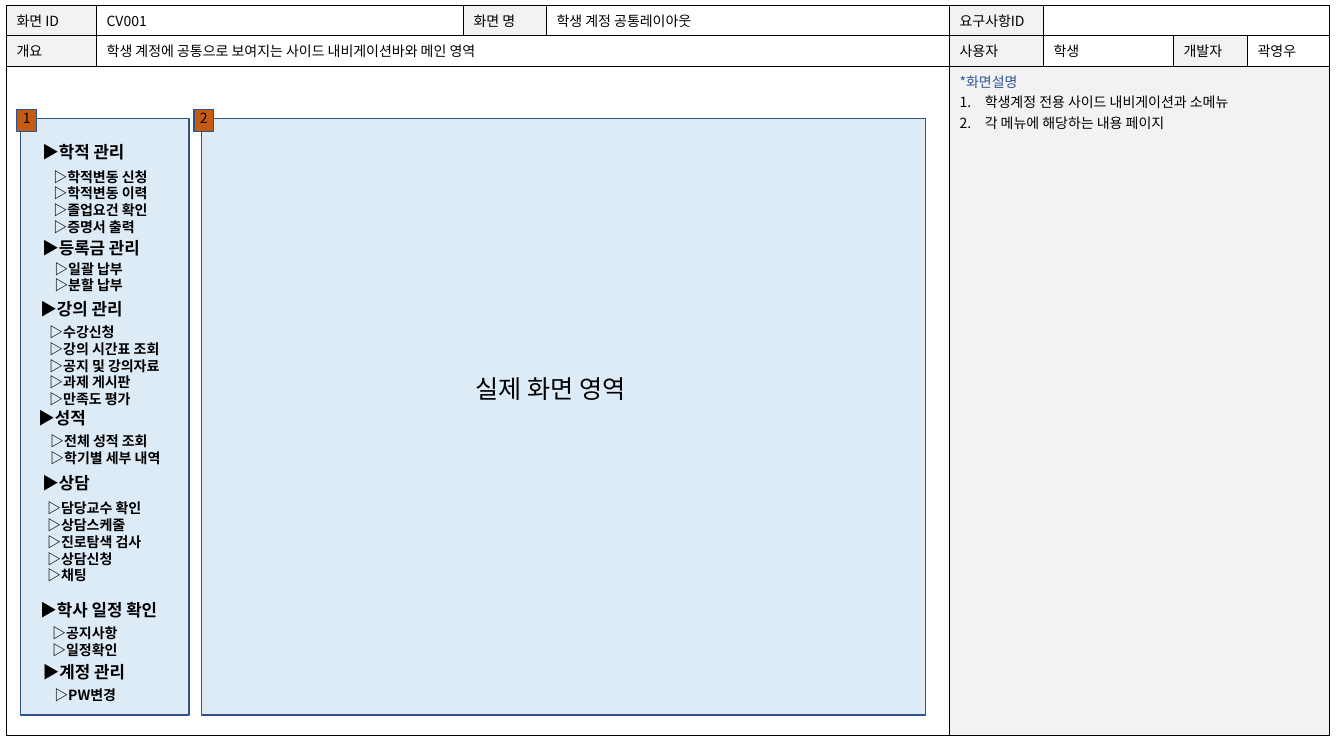
from dataclasses import dataclass

from lxml.etree import SubElement
from pptx import Presentation
from pptx.dml.color import RGBColor
from pptx.enum.shapes import MSO_SHAPE as Preset
from pptx.enum.text import MSO_ANCHOR as Anchor, MSO_AUTO_SIZE as AutoSize, PP_ALIGN as Align
from pptx.oxml.ns import qn
from pptx.util import Pt


@dataclass(frozen=True)
class Theme:
    font: str = "Noto Sans CJK KR"
    ink: str = "000000"
    accent: str = "2F5597"
    paper: str = "FFFFFF"
    label: str = "F2F2F2"
    area: str = "DDEBF7"
    area_line: str = "31538F"
    marker: str = "C55A11"
    marker_line: str = "2F528F"
    body: int = 10
    heading: int = 12
    main: int = 18
    leading: float = 1.2
    hairline: float = 0.75


# Header cells: (row, column, last column, text, is a label)
HEADER = [
    (0, 0, 0, "화면 ID", True),
    (0, 1, 1, "CV001", False),
    (0, 2, 2, "화면 명", True),
    (0, 3, 3, "학생 계정 공통레이아웃", False),
    (0, 4, 4, "요구사항ID", True),
    (0, 5, 7, "", False),
    (1, 0, 0, "개요", True),
    (1, 1, 3, "학생 계정에 공통으로 보여지는 사이드 내비게이션바와 메인 영역", False),
    (1, 4, 4, "사용자", True),
    (1, 5, 5, "학생", False),
    (1, 6, 6, "개발자", True),
    (1, 7, 7, "곽영우", False),
    (2, 0, 3, "", False),
    (2, 4, 7, "", True),
]
NOTES_TITLE = "*화면설명"
NOTES = ["학생계정 전용 사이드 내비게이션과 소메뉴", "각 메뉴에 해당하는 내용 페이지"]

# Menu groups: heading, its left and top, then items, their left and top
MENU = [
    ("학적 관리", 23, 97.9,
     ["학적변동 신청", "학적변동 이력", "졸업요건 확인", "증명서 출력"], 31, 116.6),
    ("등록금 관리", 23, 166.3, ["일괄 납부", "분할 납부"], 31.7, 182.2),
    ("강의 관리", 21.6, 210.2,
     ["수강신청", "강의 시간표 조회", "공지 및 강의자료", "과제 게시판", "만족도 평가"], 28.1, 227.5),
    ("성적", 20.2, 288, ["전체 성적 조회", "학기별 세부 내역"], 28.8, 305.3),
    ("상담", 23, 334.1,
     ["담당교수 확인", "상담스케줄", "진로탐색 검사", "상담신청", "채팅"], 26.6, 353.5),
    ("학사 일정 확인", 21.6, 424.8, ["공지사항", "일정확인"], 30.2, 442.8),
    ("계정 관리", 23.4, 469.4, ["PW변경"], 31.7, 486.7),
]


class ScreenSheet:
    def __init__(self, slide, theme):
        self.slide, self.theme = slide, theme

    def add_words(self, paragraph, text, color=None, **formats):
        run = paragraph.add_run()
        run.text = text
        formats = {"name": self.theme.font, "size": Pt(self.theme.body)} | formats
        for key, value in formats.items():
            setattr(run.font, key, value)
        run.font.color.rgb = RGBColor.from_string(color or self.theme.ink)
        SubElement(run._r.get_or_add_rPr(), qn("a:ea"), typeface=self.theme.font)

    def fill_frame(self, frame, lines, size, inset_x, inset_y, align, bold):
        layout = {"word_wrap": True, "vertical_anchor": Anchor.TOP,
                  "margin_left": Pt(inset_x), "margin_right": Pt(inset_x),
                  "margin_top": Pt(inset_y), "margin_bottom": Pt(inset_y)}
        for key, value in layout.items():
            setattr(frame, key, value)
        for index, line in enumerate(lines):
            paragraph = frame.add_paragraph() if index else frame.paragraphs[0]
            paragraph.alignment = align
            paragraph.line_spacing = Pt(size * self.theme.leading)
            self.add_words(paragraph, line, size=Pt(size), bold=bold)

    def text(self, lines, left, top, width, size, inset_y=3.6, align=Align.LEFT, bold=True):
        height = len(lines) * size * self.theme.leading + 2 * inset_y
        box = self.slide.shapes.add_textbox(Pt(left), Pt(top), Pt(width), Pt(height))
        self.fill_frame(box.text_frame, lines, size, 7.2, inset_y, align, bold)
        box.text_frame.auto_size = AutoSize.SHAPE_TO_FIT_TEXT

    def rectangle(self, left, top, width, height, fill, line, caption=None):
        panel = self.slide.shapes.add_shape(
            Preset.RECTANGLE, Pt(left), Pt(top), Pt(width), Pt(height))
        panel.shadow.inherit = False
        panel.fill.solid()
        panel.fill.fore_color.rgb = RGBColor.from_string(fill)
        panel.line.color.rgb = RGBColor.from_string(line)
        panel.line.width = Pt(1)
        if caption:
            self.fill_frame(panel.text_frame, [caption], self.theme.body, 0, 0,
                            Align.CENTER, False)

    def borders(self, cell, **widths):
        for side in "LRTB":
            width = Pt(widths.get(side, self.theme.hairline))
            edge = SubElement(cell._tc.get_or_add_tcPr(), qn(f"a:ln{side}"), w=str(width))
            SubElement(SubElement(edge, qn("a:solidFill")), qn("a:srgbClr"), val=self.theme.ink)

    def table(self, left, top, widths, heights, entries):
        grid = self.slide.shapes.add_table(
            len(heights), len(widths), Pt(left), Pt(top), Pt(sum(widths)), Pt(sum(heights))).table
        grid.first_row = grid.horz_banding = False
        for column, width in zip(grid.columns, widths):
            column.width = Pt(width)
        for row, height in zip(grid.rows, heights):
            row.height = Pt(height)
        for row, first, last, text, is_label in entries:
            heavy = {}
            if row == 2:
                heavy = {"L": 1, "B": 1} if is_label else {"R": 1}
            for column in range(first, last + 1):
                cell = grid.cell(row, column)
                self.borders(cell, **heavy)
                cell.fill.solid()
                cell.fill.fore_color.rgb = RGBColor.from_string(
                    self.theme.label if is_label else self.theme.paper)
                paragraph = cell.text_frame.paragraphs[0]
                if text and column == first:
                    self.add_words(paragraph, text)
                elif (row, column) != (2, 4):
                    SubElement(paragraph._p, qn("a:endParaRPr"), sz=str(self.theme.body * 100))
            if last > first:
                grid.cell(row, first).merge(grid.cell(row, last))
        return grid

    def numbered(self, frame, title, items):
        self.add_words(frame.paragraphs[0], title, self.theme.accent)
        for item in items:
            paragraph = frame.add_paragraph()
            properties = paragraph._p.get_or_add_pPr()
            properties.set("marL", str(Pt(18)))
            properties.set("indent", str(Pt(-18)))
            SubElement(SubElement(properties, qn("a:buClr")), qn("a:srgbClr"), val=self.theme.ink)
            SubElement(properties, qn("a:buAutoNum"), type="arabicPeriod")
            self.add_words(paragraph, item)


def main():
    deck = Presentation()
    deck.slide_width, deck.slide_height = Pt(960), Pt(540)
    theme = Theme()
    sheet = ScreenSheet(deck.slides.add_slide(deck.slide_layouts[6]), theme)

    # Specification table with the screen notes
    grid = sheet.table(4.7, 3.8, [64.3, 262.1, 59.3, 287.9, 67.1, 92.9, 52.9, 58.6],
                       [21.8, 22, 478], HEADER)
    sheet.numbered(grid.cell(2, 4).text_frame, NOTES_TITLE, NOTES)

    # Main area and side navigation
    for left, width in ((144, 517), (14.8, 120.2)):
        sheet.rectangle(left, 84.6, width, 426.2, theme.area, theme.area_line)
    sheet.text(["실제 화면 영역"], 325.4, 259.2, 136.1, theme.main, 7.2, Align.CENTER, False)

    # Navigation menu
    for heading, left, top, items, items_left, items_top in MENU:
        sheet.text([f"▶{heading}"], left, top, 136.1, theme.heading)
        sheet.text([f"▷{item}" for item in items], items_left, items_top, 106, theme.body)

    # Number markers
    for number, left in (("1", 12), ("2", 138.5)):
        sheet.rectangle(left, 78.4, 14.2, 15.6, theme.marker, theme.marker_line, number)

    deck.save("out.pptx")


if __name__ == "__main__":
    main()
